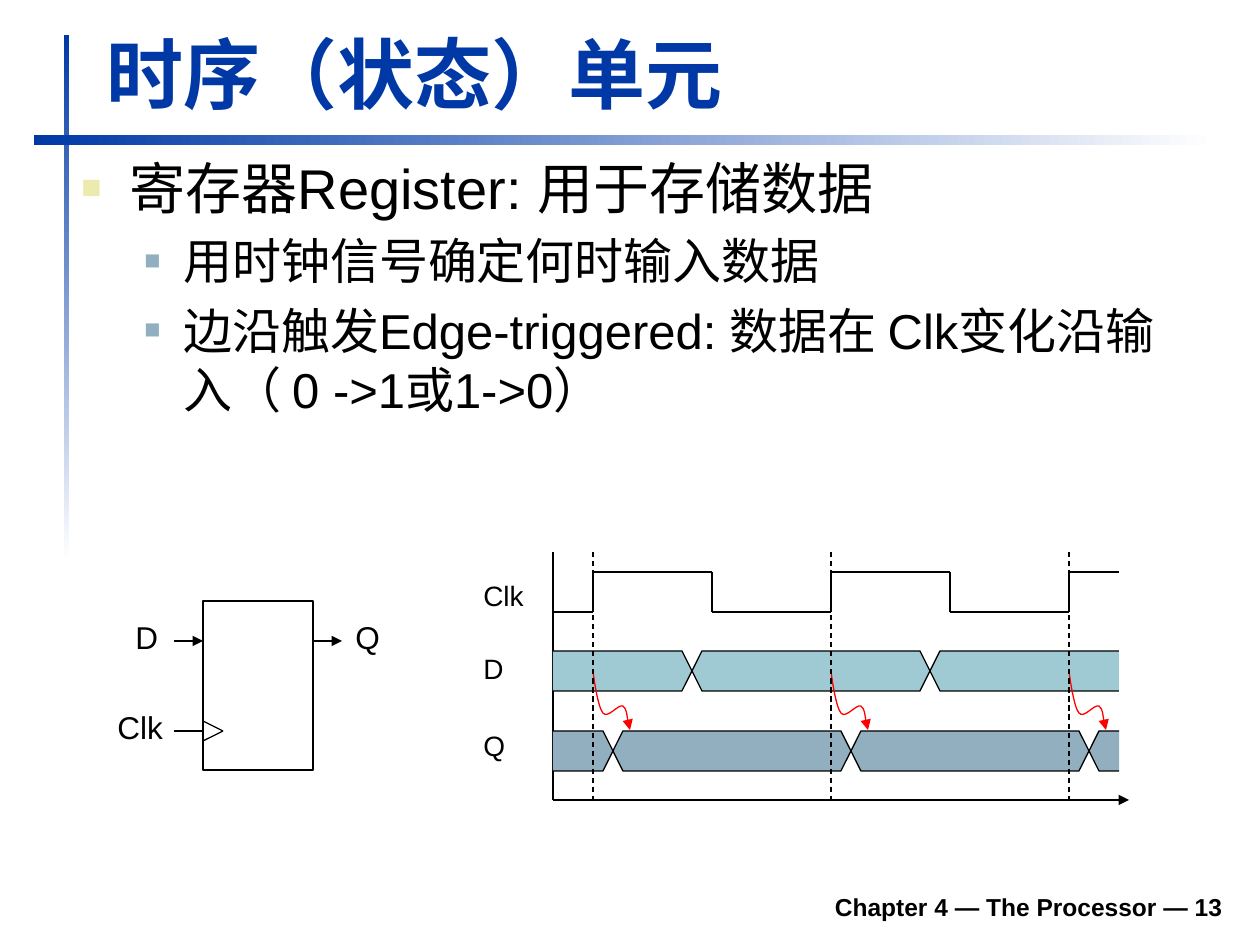
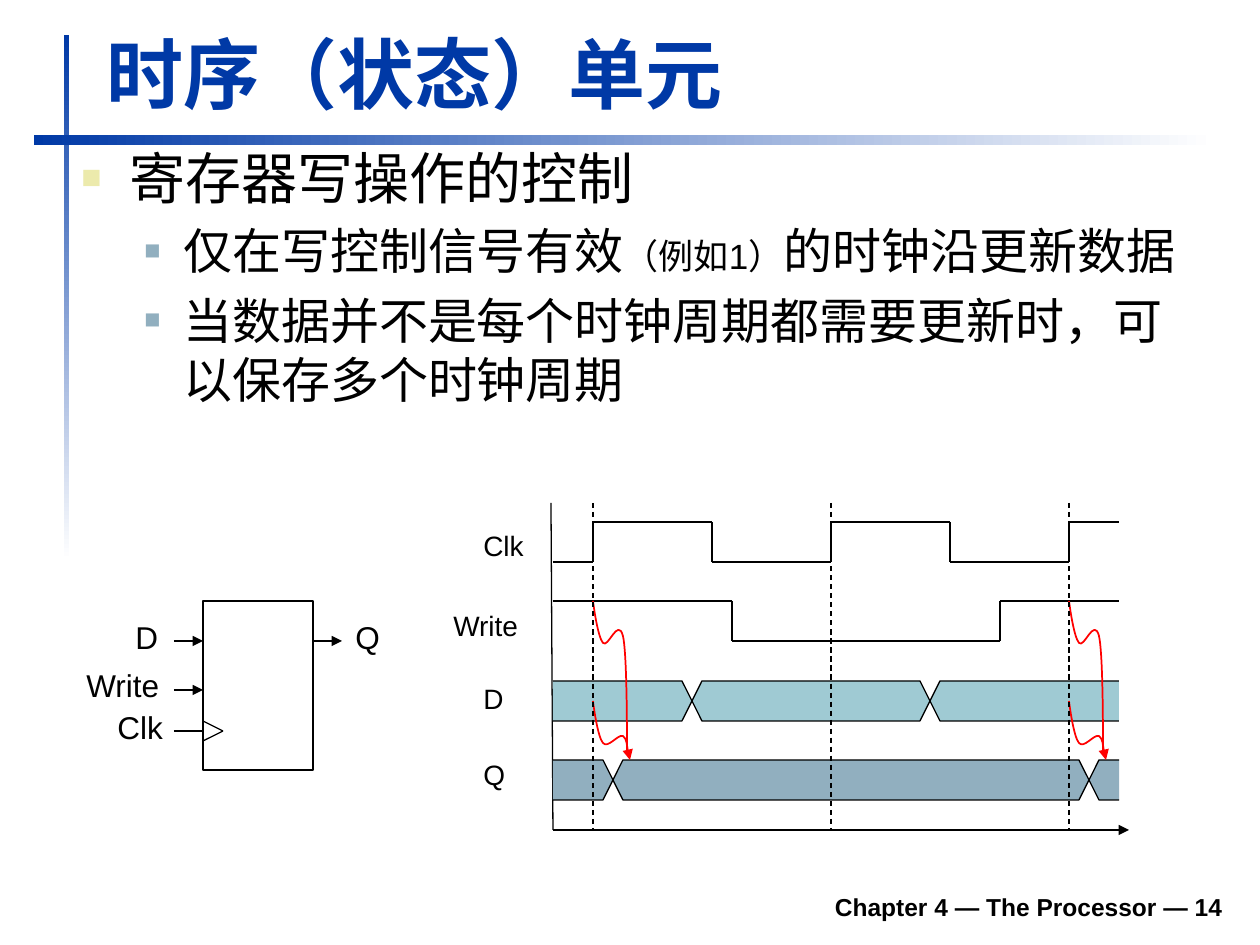
"""Build two slides on clocked registers and their timing diagrams."""
from dataclasses import dataclass
from itertools import pairwise

from lxml import etree
from pptx import Presentation
from pptx.dml.color import RGBColor
from pptx.enum.dml import MSO_LINE
from pptx.enum.shapes import MSO_CONNECTOR, MSO_SHAPE
from pptx.enum.text import MSO_ANCHOR, PP_ALIGN
from pptx.oxml.ns import qn
from pptx.util import Pt

RECTANGLE = MSO_SHAPE.RECTANGLE
STRAIGHT = MSO_CONNECTOR.STRAIGHT
DASH = MSO_LINE.DASH
LEFT, RIGHT = PP_ALIGN.LEFT, PP_ALIGN.RIGHT
TOP, BOTTOM = MSO_ANCHOR.TOP, MSO_ANCHOR.BOTTOM
SCALE = 914400 / 126


@dataclass(frozen=True)
class Theme:
    """Colours, font and type sizes shared by the slides."""
    font: str = "Arial"
    blue: str = "0039A6"
    white: str = "FFFFFF"
    ink: str = "000000"
    red: str = "FF0000"
    data_fill: str = "9FCAD3"
    output_fill: str = "91AFBF"
    bullets: tuple = (("ECEAAC", 60), ("91AFBF", 55))
    title: int = 44
    body: tuple = (32, 28)
    aside: int = 20
    pin: int = 18
    lane: int = 16
    footer: int = 14
    thin: float = 0.75
    arrow: float = 1
    thick: float = 1.5


THEME = Theme()
TITLE = "时序（状态）单元"
FOOTER = "Chapter 4 — The Processor — "
TITLE_BOX = (94, 20, 1138, 105)
FOOTER_BOX = (233, 879, 1002, 49)
BANDS = [((64, 35, 5, 525), 270), ((34, 135, 1181, 10), 0)]
INDENTS = [48, 102]
HANGING = [48, 39]

REGISTER_BOX = (203, 601, 110, 169)
PIN_LENGTH = 29
PINS = {
    "D": (641, (123, 612, 48, 50)),
    "Write": (690, (74, 660, 98, 50)),
    "Clk": (731, (105, 702, 71, 50)),
    "Q": (641, (343, 612, 50, 50)),
}

START, END, AXIS_END = 553, 1119, 1129
HALF_PERIOD = 119
TOGGLES = [593 + HALF_PERIOD * step for step in range(5)]
EDGES = TOGGLES[::2]
SWING, SLOPE = 40, 10
DATA_CHANGES = [edge + 99 for edge in EDGES[:2]]
OUTPUT_DELAY = 20
LANE_LABELS = {
    "Clk": (471, 0, 66),
    "Write": (441, 1, 91),
    "D": (471, -6, 45),
    "Q": (471, -9, 48),
}
DATA_CURVE = [(1, 8), (5, 36), (10, 42), (15, 48), (25, 33), (30, 35),
              (34, 38), (35, 54), (37, 59)]
WRITE_CURVE = DATA_CURVE[:4] + [(25, 16), (30, 35), (34, 53), (34, 127), (34, 151)]

SLIDES = [
    {
        "number": 13,
        "body_box": (69, 147, 1140, 381),
        "body": [
            (0, [("寄存器Register: 用于存储数据", THEME.body[0])]),
            (1, [("用时钟信号确定何时输入数据", THEME.body[1])]),
            (1, [("边沿触发Edge-triggered: 数据在 Clk变化沿输入（ 0 ->1或1->0）",
                  THEME.body[1])]),
        ],
        "pins": ["D", "Clk", "Q"],
        "lanes": {"Clk": 572, "D": 651, "Q": 731},
        "axis": (553, 552, 800),
        "captures": EDGES,
        "curve_width": THEME.thin,
    },
    {
        "number": 14,
        "body_box": (69, 137, 1140, 318),
        "body": [
            (0, [("寄存器写操作的控制", THEME.body[0])]),
            (1, [("仅在写控制信号有效", THEME.body[1]), ("（例如1）", THEME.aside),
                 ("的时钟沿更新数据", THEME.body[1])]),
            (1, [("当数据并不是每个时钟周期都需要更新时，可以保存多个时钟周期",
                  THEME.body[1])]),
        ],
        "pins": ["D", "Write", "Clk", "Q"],
        "lanes": {"Clk": 522, "Write": 601, "D": 681, "Q": 760},
        "write_toggles": [732, 1000],
        "axis": (551, 503, 830),
        "captures": [EDGES[0], EDGES[2]],
        "curve_width": THEME.arrow,
    },
]


def emu(*lengths):
    return [round(length * SCALE) for length in lengths]


def rgb(value):
    return RGBColor.from_string(value)


def style_line(shape, width, color=THEME.ink, arrow=False, dash=None):
    shape.line.color.rgb = rgb(color)
    shape.line.width = Pt(width)
    if dash:
        shape.line.dash_style = dash
    if arrow:
        line = shape._element.spPr.find(qn("a:ln"))
        etree.SubElement(line, qn("a:tailEnd"), type="triangle")


def add_line(shapes, start, end, width=THEME.thin, **style):
    connector = shapes.add_connector(STRAIGHT, *emu(*start, *end))
    style_line(connector, width, **style)
    etree.SubElement(connector._element.spPr, qn("a:effectLst"))


def add_outline(shapes, points, fill=None, closed=False):
    builder = shapes.build_freeform(*points[0], scale=SCALE)
    builder.add_line_segments(points[1:], close=closed)
    shape = builder.convert_to_shape()
    shape.shadow.inherit = False
    if fill:
        shape.fill.solid()
        shape.fill.fore_color.rgb = rgb(fill)
    else:
        shape.fill.background()
    return shape


def add_curve(shapes, origin, offsets, width, arrow=False):
    left, top = origin
    points = [origin] + [(left + x, top + y) for x, y in offsets]
    shape = add_outline(shapes, points)
    segments = list(shape._element.spPr.iter(qn("a:lnTo")))
    for index in range(0, len(segments), 3):
        first, *others = segments[index:index + 3]
        first.tag = qn("a:cubicBezTo")
        for segment in others:
            first.append(segment[0])
            segment.getparent().remove(segment)
    style_line(shape, width, THEME.red, arrow)


def add_run(paragraph, text, size, color=THEME.ink, bold=False):
    run = paragraph.add_run()
    run.text = text
    run.font.name = THEME.font
    run.font.size = Pt(size)
    run.font.bold = bold
    run.font.color.rgb = rgb(color)


def add_frame(shapes, box, wrap=True, anchor=TOP):
    frame = shapes.add_textbox(*emu(*box)).text_frame
    frame.word_wrap = wrap
    frame.vertical_anchor = anchor
    return frame


def add_text(shapes, box, text, size, wrap=False, anchor=TOP, align=LEFT, **style):
    paragraph = add_frame(shapes, box, wrap, anchor).paragraphs[0]
    paragraph.alignment = align
    add_run(paragraph, text, size, **style)


def add_bullet(paragraph, level):
    color, percent = THEME.bullets[level]
    properties = paragraph._p.get_or_add_pPr()
    margin, hanging = emu(INDENTS[level], HANGING[level])
    properties.set("marL", str(margin))
    properties.set("indent", str(-hanging))
    bullet_color = etree.SubElement(properties, qn("a:buClr"))
    etree.SubElement(bullet_color, qn("a:srgbClr"), val=color)
    etree.SubElement(properties, qn("a:buSzPct"), val=str(percent * 1000))
    etree.SubElement(properties, qn("a:buFont"), typeface=THEME.font)
    etree.SubElement(properties, qn("a:buChar"), char="■")


def add_body(shapes, box, items):
    frame = add_frame(shapes, box)
    for index, (level, runs) in enumerate(items):
        paragraph = frame.add_paragraph() if index else frame.paragraphs[0]
        paragraph.level = level
        add_bullet(paragraph, level)
        if index:
            paragraph.space_before = Pt(6)
        for text, size in runs:
            add_run(paragraph, text, size)


def add_bands(shapes):
    for box, angle in BANDS:
        band = shapes.add_shape(RECTANGLE, *emu(*box))
        band.shadow.inherit = False
        band.line.fill.background()
        band.fill.gradient()
        band.fill.gradient_angle = angle
        for stop, color in zip(band.fill.gradient_stops, (THEME.blue, THEME.white)):
            stop.color.rgb = rgb(color)


def add_register(shapes, pins):
    left, _, width, _ = REGISTER_BOX
    register = shapes.add_shape(RECTANGLE, *emu(*REGISTER_BOX))
    register.shadow.inherit = False
    register.fill.background()
    style_line(register, THEME.thick)
    for name in pins:
        y, label_box = PINS[name]
        x = left + width if name == "Q" else left - PIN_LENGTH
        is_clock = name == "Clk"
        add_line(shapes, (x, y), (x + PIN_LENGTH, y),
                 THEME.thin if is_clock else THEME.arrow, arrow=not is_clock)
        add_text(shapes, label_box, name, THEME.pin)
        if is_clock:
            for offset in (-10, 10):
                add_line(shapes, (left, y + offset), (left + 20, y))


def add_wave(shapes, top, toggles, high):
    levels = {True: top, False: top + SWING}
    for x, next_x in pairwise([START, *toggles, END]):
        add_line(shapes, (x, levels[high]), (next_x, levels[high]), THEME.thick)
        if next_x != END:
            add_line(shapes, (next_x, top), (next_x, top + SWING), THEME.thick)
        high = not high


def add_bus(shapes, top, crossings, fill):
    middle, bottom = top + SWING // 2, top + SWING
    for x, next_x in pairwise([START, *crossings, END]):
        left_end = [(x + SLOPE, bottom), (x, middle), (x + SLOPE, top)]
        right_end = [(next_x - SLOPE, top), (next_x, middle), (next_x - SLOPE, bottom)]
        if x == START:
            points = [(x, top), *right_end, (x, bottom)]
        elif next_x == END:
            points = [(next_x, bottom), *left_end, (next_x, top)]
        else:
            points = left_end + right_end
        closed = x != START and next_x != END
        style_line(add_outline(shapes, points, fill, closed), THEME.thin)


def add_timing(shapes, content):
    lanes, captures = content["lanes"], content["captures"]
    axis_x, axis_top, axis_bottom = content["axis"]
    add_line(shapes, (START, axis_bottom), (AXIS_END, axis_bottom), arrow=True)
    add_line(shapes, (START, axis_bottom), (axis_x, axis_top))
    for name, top in lanes.items():
        left, offset, width = LANE_LABELS[name]
        add_text(shapes, (left, top + offset, width, 47), name, THEME.lane)
    add_wave(shapes, lanes["Clk"], TOGGLES, high=False)
    add_bus(shapes, lanes["D"], DATA_CHANGES, THEME.data_fill)
    output_changes = [edge + OUTPUT_DELAY for edge in captures]
    add_bus(shapes, lanes["Q"], output_changes, THEME.output_fill)
    if "Write" in lanes:
        add_wave(shapes, lanes["Write"], content["write_toggles"], high=True)
    for edge in captures:
        add_curve(shapes, (edge, lanes["D"] + SWING // 2), DATA_CURVE,
                  content["curve_width"], arrow=True)
        if "Write" in lanes:
            add_curve(shapes, (edge, lanes["Write"]), WRITE_CURVE, content["curve_width"])
    for edge in EDGES:
        add_line(shapes, (edge, axis_top), (edge, axis_bottom), dash=DASH)


def main():
    presentation = Presentation()
    presentation.slide_width, presentation.slide_height = emu(1260, 945)
    for content in SLIDES:
        shapes = presentation.slides.add_slide(presentation.slide_layouts[6]).shapes
        add_bands(shapes)
        add_text(shapes, FOOTER_BOX, f"{FOOTER}{content['number']}", THEME.footer,
                 wrap=True, anchor=BOTTOM, align=RIGHT, bold=True)
        add_text(shapes, TITLE_BOX, TITLE, THEME.title,
                 wrap=True, anchor=BOTTOM, color=THEME.blue, bold=True)
        add_body(shapes, content["body_box"], content["body"])
        add_register(shapes.add_group_shape().shapes, content["pins"])
        add_timing(shapes.add_group_shape().shapes, content)
    presentation.save("out.pptx")


if __name__ == "__main__":
    main()
